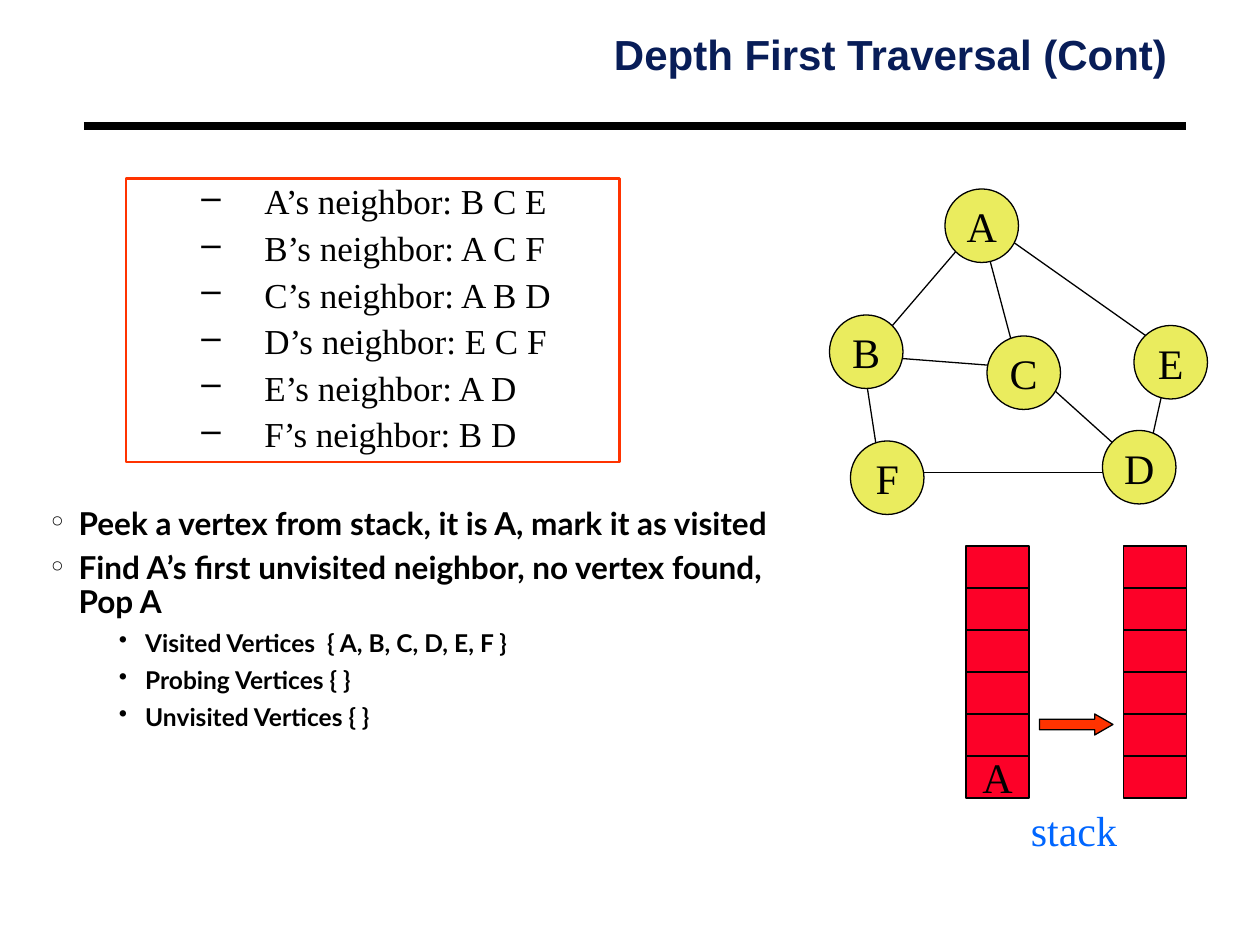
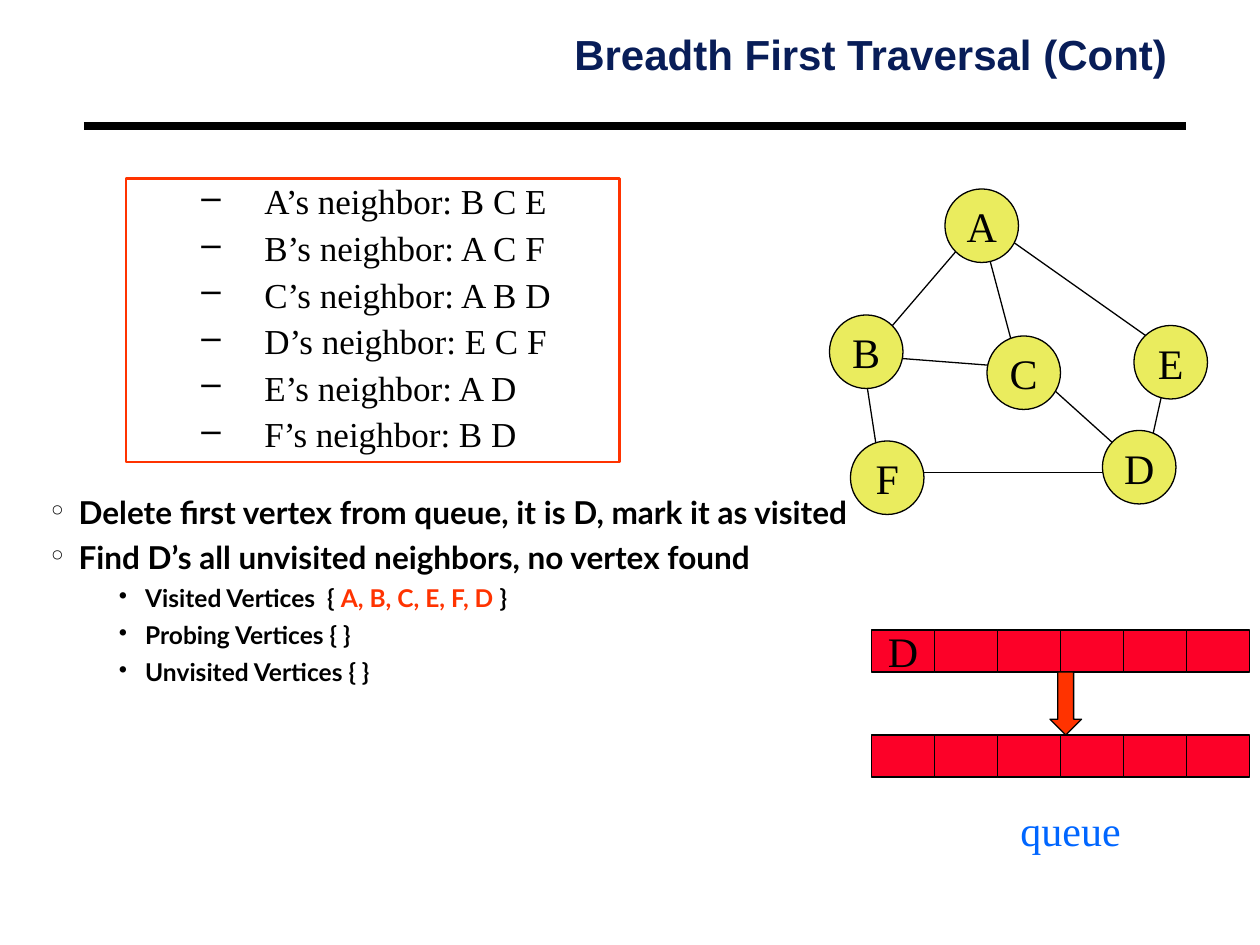
from lxml.etree import SubElement
from pptx import Presentation
from pptx.dml.color import RGBColor
from pptx.enum.shapes import MSO_CONNECTOR, MSO_SHAPE
from pptx.enum.text import MSO_ANCHOR, PP_ALIGN
from pptx.oxml.ns import qn
from pptx.util import Cm, Pt

COLORS = {
    "ink": "000000",
    "title": "081D58",
    "node": "EAEC5E",
    "cell": "FC0128",
    "accent": "FF3300",
    "label": "0066FF",
}
SERIF, SANS, BODY = "Times New Roman", "Arial", "Lato"
GRID_CM = 25.4 / 120
NODE_SIZE, CELL_WIDTH, CELL_HEIGHT, CELL_COUNT = 7, 6, 4, 6

NODES = {"A": (90, 18), "B": (79, 30), "C": (94, 32),
         "E": (108, 31), "F": (81, 42), "D": (105, 41)}
EDGES = [
    (84, 34, 97, 35), (91, 24, 85, 31), (93, 20, 97, 35), (95, 22, 112, 34),
    (82, 33, 84, 46), (111, 36, 109, 45), (98, 35, 108, 44), (86, 45, 107, 45),
]
NEIGHBORS = {"A": "B C E", "B": "A C F", "C": "A B D",
             "D": "E C F", "E": "A D", "F": "B D"}
STEP_LEVELS = [
    {"bullet": "°", "left": 0.56, "hang": 0.56, "size": 18},
    {"bullet": "•", "left": 1.9, "hang": 0.53, "size": 14},
]


def grid(*units):
    return [Cm(unit * GRID_CM) for unit in units]


def color(name):
    return RGBColor.from_string(COLORS[name])


def add_run(paragraph, text, size, font, ink="ink", bold=False):
    run = paragraph.add_run()
    run.text = text
    run.font.size = Pt(size)
    run.font.name = font
    run.font.bold = bold
    run.font.color.rgb = color(ink)


def add_bullet(paragraph, bullet, left, hang):
    properties = paragraph._p.get_or_add_pPr()
    properties.set("marL", str(Cm(left)))
    properties.set("indent", str(-Cm(hang)))
    SubElement(properties, qn("a:buChar")).set("char", bullet)


def next_paragraph(frame, is_first, space_before):
    if is_first:
        return frame.paragraphs[0]
    paragraph = frame.add_paragraph()
    paragraph.space_before = Pt(space_before)
    return paragraph


def add_text_frame(slide, area, side=0.25, top=0.13):
    frame = slide.shapes.add_textbox(*grid(*area)).text_frame
    frame.word_wrap = True
    frame.margin_left = frame.margin_right = Cm(side)
    frame.margin_top = frame.margin_bottom = Cm(top)
    return frame


def add_line(slide, ends, width):
    line = slide.shapes.add_connector(MSO_CONNECTOR.STRAIGHT, *grid(*ends))
    line.line.color.rgb = color("ink")
    line.line.width = Pt(width)
    SubElement(line._element.spPr, qn("a:effectLst"))


def add_block(slide, preset, area, fill=None, outline="ink", width=0.75):
    block = slide.shapes.add_shape(preset, *grid(*area))
    block.shadow.inherit = False
    if fill:
        block.fill.solid()
        block.fill.fore_color.rgb = color(fill)
    else:
        block.fill.background()
    block.line.color.rgb = color(outline)
    block.line.width = Pt(width)
    return block


def add_letter(block, letter):
    frame = block.text_frame
    frame.word_wrap = False
    frame.vertical_anchor = MSO_ANCHOR.MIDDLE
    frame.paragraphs[0].alignment = PP_ALIGN.CENTER
    add_run(frame.paragraphs[0], letter, 24, SERIF)


def add_title(slide, title):
    add_line(slide, (8, 12, 113, 12), 4.5)
    heading = add_text_frame(slide, (10, 3, 102, 15), 0.18, 0.08).paragraphs[0]
    heading.alignment = PP_ALIGN.RIGHT
    heading.line_spacing = 0.87
    add_run(heading, title, 24, SANS, "title", True)


def add_neighbors(slide):
    panel = add_block(slide, MSO_SHAPE.RECTANGLE, (12, 17, 47, 27),
                      outline="accent", width=1.5)
    frame = panel.text_frame
    frame.word_wrap = True
    frame.vertical_anchor = MSO_ANCHOR.TOP
    for index, (vertex, neighbors) in enumerate(NEIGHBORS.items()):
        entry = next_paragraph(frame, index == 0, 5)
        add_bullet(entry, "–", 2.54, 1.27)
        entry.alignment = PP_ALIGN.LEFT
        entry.line_spacing = 0.9
        add_run(entry, f"{vertex}’s neighbor: {neighbors}", 20, SERIF)


def add_graph(slide):
    for edge in EDGES:
        add_line(slide, edge, 0.75)
    for vertex, (left, top) in NODES.items():
        node = add_block(slide, MSO_SHAPE.OVAL,
                         (left, top, NODE_SIZE, NODE_SIZE), "node")
        add_letter(node, vertex)


def add_steps(slide, area, steps):
    frame = add_text_frame(slide, area, 0.18, 0.08)
    for index, (level, parts) in enumerate(steps):
        style = STEP_LEVELS[level]
        step = next_paragraph(frame, index == 0, 6)
        step.level = level
        add_bullet(step, style["bullet"], style["left"], style["hang"])
        step.line_spacing = 0.9
        for text, ink in parts:
            add_run(step, text, style["size"], BODY, ink, True)


def add_cells(slide, left, top, step_x, step_y, letters=None):
    for index in range(CELL_COUNT):
        area = (left + index * step_x, top + index * step_y,
                CELL_WIDTH, CELL_HEIGHT)
        cell = add_block(slide, MSO_SHAPE.RECTANGLE, area, "cell")
        if letters and index in letters:
            add_letter(cell, letters[index])


def add_arrow(slide, preset, area, head):
    arrow = add_block(slide, preset, area, "accent")
    arrow.adjustments[0] = 0.5
    arrow.adjustments[1] = head


def add_label(slide, area, text):
    label = add_text_frame(slide, area).paragraphs[0]
    add_run(label, text, 24, SERIF, "label")


def add_traversal(deck, title, steps_area, steps, visited):
    slide = deck.slides.add_slide(deck.slide_layouts[6])
    add_title(slide, title)
    add_neighbors(slide)
    add_graph(slide)
    sets = [visited, [("Probing Vertices { }", "ink")],
            [("Unvisited Vertices { }", "ink")]]
    add_steps(slide, steps_area,
              [(0, [(step, "ink")]) for step in steps]
              + [(1, parts) for parts in sets])
    return slide


def main():
    deck = Presentation()
    deck.slide_width, deck.slide_height = Cm(25.4), Cm(19.05)

    depth = add_traversal(
        deck, "Depth First Traversal (Cont)", (4, 48, 73, 30),
        ["Peek a vertex from stack, it is A, mark it as visited",
         "Find A’s first unvisited neighbor, no vertex found, Pop A"],
        [("Visited Vertices  { A, B, C, D, E, F }", "ink")])
    add_cells(depth, 92, 52, 0, CELL_HEIGHT, {5: "A"})
    add_cells(depth, 107, 52, 0, CELL_HEIGHT)
    add_arrow(depth, MSO_SHAPE.RIGHT_ARROW, (99, 68, 7, 2), 0.87)
    add_label(depth, (97, 76, 11, 6), "stack")

    breadth = add_traversal(
        deck, "Breadth First Traversal (Cont)", (4, 47, 78, 30),
        ["Delete first vertex from queue, it is D, mark it as visited",
         "Find D’s all unvisited neighbors, no vertex found"],
        [("Visited Vertices  { ", "ink"), ("A, B, C, E, F, D ", "accent"),
         ("}", "ink")])
    add_cells(breadth, 83, 60, CELL_WIDTH, 0, {0: "D"})
    add_cells(breadth, 83, 70, CELL_WIDTH, 0)
    add_arrow(breadth, MSO_SHAPE.DOWN_ARROW, (100, 64, 3, 6), 0.5)
    add_label(breadth, (96, 76, 16, 6), "queue")

    deck.save("out.pptx")


if __name__ == "__main__":
    main()
